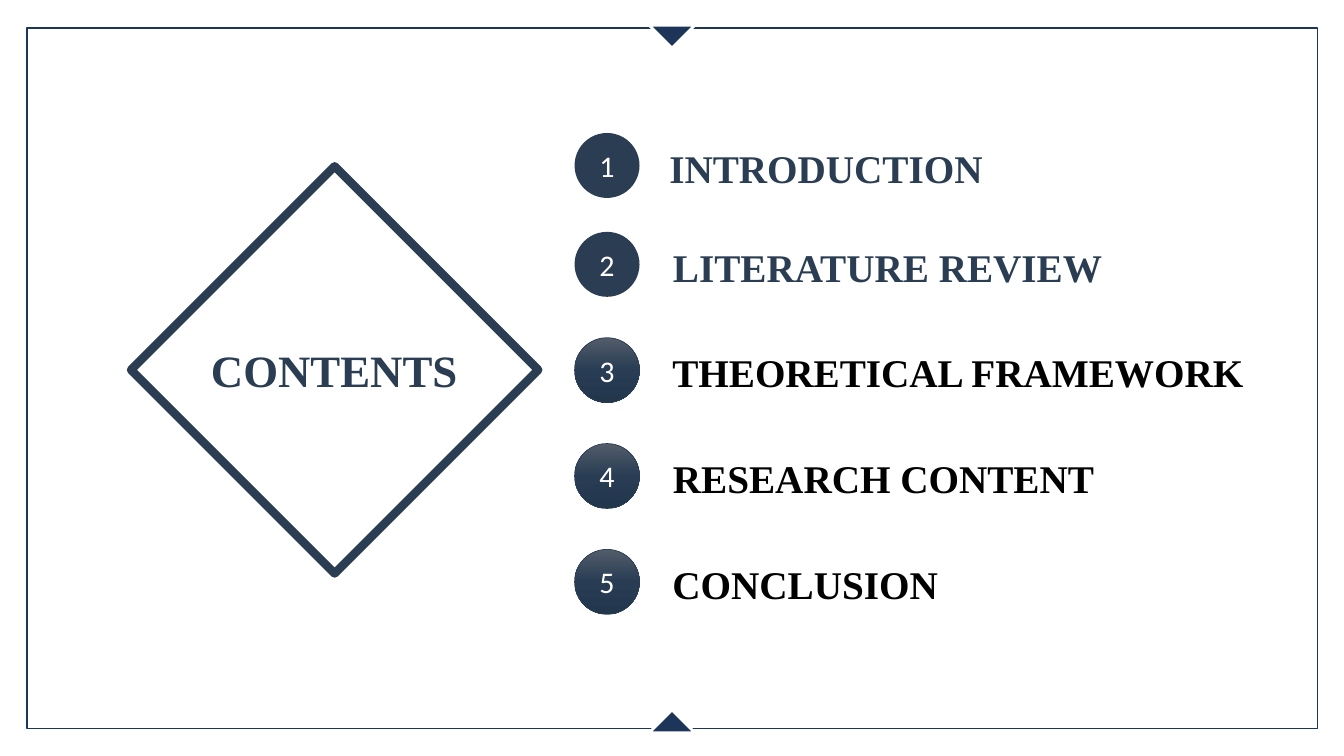
from copy import deepcopy

from pptx import Presentation
from pptx.dml.color import RGBColor
from pptx.enum.shapes import MSO_SHAPE as Preset
from pptx.enum.text import MSO_ANCHOR as Anchor, MSO_AUTO_SIZE as AutoSize, PP_ALIGN as Align
from pptx.oxml.ns import qn
from pptx.util import Pt

WIDTH, HEIGHT = 960, 540
FRAME, SLATE, BLACK, WHITE = "1D3559", "2A3D52", "000000", "FFFFFF"
SERIF, SANS = "Times New Roman", "Calibri"
GRADIENT = [(0, "535C6A"), (0.5, "283D54"), (1, "22364C")]
CIRCLE_LEFT, CIRCLE_SIZE = 410.4, 46.4
LABEL_DROP, LABEL_HEIGHT = 4.3, 41
ITEMS = [
    ("INTRODUCTION", 95, 471, SLATE, False),
    ("LITERATURE REVIEW", 165.6, 473.6, SLATE, False),
    ("THEORETICAL FRAMEWORK", 241.2, 473.2, BLACK, True),
    ("RESEARCH CONTENT", 316.8, 473.6, BLACK, True),
    ("CONCLUSION", 392.4, 473.2, BLACK, True),
]


def color(value):
    """Turn a hex string into a colour."""
    return RGBColor.from_string(value)


def write(text_frame, text, size, font_name, font_color, bold=False, align=Align.LEFT):
    """Write one run into the first paragraph."""
    paragraph = text_frame.paragraphs[0]
    paragraph.alignment = align
    run = paragraph.add_run()
    run.text = text
    run.font.size = Pt(size)
    run.font.name = font_name
    run.font.bold = bold
    run.font.color.rgb = color(font_color)


def set_line(shape, line_color, width):
    """Give a shape a solid outline and no shadow."""
    shape.shadow.inherit = False
    shape.line.color.rgb = color(line_color)
    shape.line.width = Pt(width)


def fill_gradient(shape):
    """Fill a shape with the vertical slate gradient."""
    shape.fill.gradient()
    shape.fill.gradient_angle = 270
    stop_list = next(shape.element.iter(qn("a:gsLst")))
    stop_list.append(deepcopy(stop_list[0]))
    for stop, (position, value) in zip(shape.fill.gradient_stops, GRADIENT):
        stop.position = position
        stop.color.rgb = color(value)


def add_outline(slide, preset, left, top, width, height, line_color, line_width):
    """Add an unfilled preset shape."""
    shape = slide.shapes.add_shape(preset, Pt(left), Pt(top), Pt(width), Pt(height))
    shape.fill.background()
    set_line(shape, line_color, line_width)


def add_triangle(slide, base, tip):
    """Add a centred frame marker pointing from base to tip."""
    middle, half = WIDTH / 2, abs(tip - base)
    builder = slide.shapes.build_freeform(Pt(middle - half), Pt(base))
    builder.add_line_segments([(Pt(middle + half), Pt(base)), (Pt(middle), Pt(tip))])
    shape = builder.convert_to_shape()
    shape.fill.solid()
    shape.fill.fore_color.rgb = color(FRAME)
    set_line(shape, WHITE, 2)


def add_number(slide, number, top, shaded):
    """Add a numbered circle."""
    shape = slide.shapes.add_shape(
        Preset.OVAL, Pt(CIRCLE_LEFT), Pt(top), Pt(CIRCLE_SIZE), Pt(CIRCLE_SIZE))
    if shaded:
        fill_gradient(shape)
        set_line(shape, SLATE, 0.5)
    else:
        shape.fill.solid()
        shape.fill.fore_color.rgb = color(SLATE)
        shape.line.fill.background()
        shape.shadow.inherit = False
    shape.text_frame.vertical_anchor = Anchor.MIDDLE
    write(shape.text_frame, str(number), 21.4, SANS, WHITE, align=Align.CENTER)


def add_label(slide, text, left, top, text_color):
    """Add the heading beside a numbered circle."""
    box = slide.shapes.add_textbox(Pt(left), Pt(top), Pt(450), Pt(LABEL_HEIGHT))
    box.text_frame.word_wrap = True
    write(box.text_frame, text, 28, SERIF, text_color, bold=True)


def format_title(slide, text):
    """Place the title inside the diamond."""
    title = slide.shapes.title
    title.left, title.top, title.width, title.height = Pt(141.3), Pt(241.2), Pt(195), Pt(46)
    frame = title.text_frame
    frame.auto_size = AutoSize.NONE
    frame.word_wrap = False
    frame.vertical_anchor = Anchor.TOP
    write(frame, text, 32, SERIF, SLATE, bold=True, align=Align.CENTER)


def main():
    """Build and save the contents slide."""
    presentation = Presentation()
    presentation.slide_width, presentation.slide_height = Pt(WIDTH), Pt(HEIGHT)
    slide = presentation.slides.add_slide(presentation.slide_layouts[5])
    add_outline(slide, Preset.RECTANGLE, 19.4, 20, 921.6, 500.4, FRAME, 1)
    add_triangle(slide, 18, 34.4)
    add_triangle(slide, 523.4, 507)
    add_outline(slide, Preset.DIAMOND, 93.6, 118.8, 290.9, 290.9, SLATE, 6)
    format_title(slide, "CONTENTS")
    for number, (text, top, left, text_color, shaded) in enumerate(ITEMS, start=1):
        add_number(slide, number, top, shaded)
        add_label(slide, text, left, top + LABEL_DROP, text_color)
    presentation.save("out.pptx")


if __name__ == "__main__":
    main()
